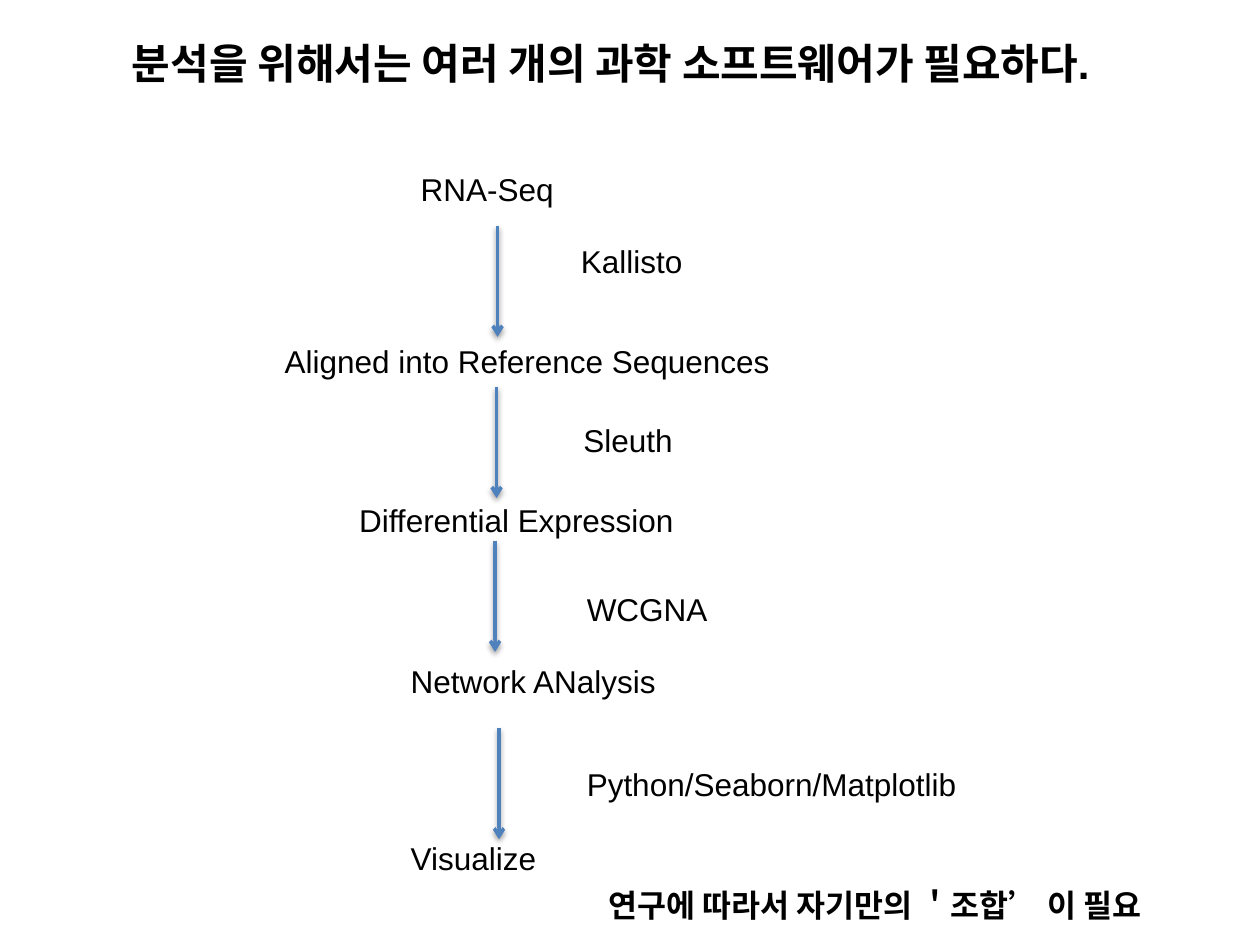
from lxml import etree
from pptx import Presentation
from pptx import util as u
from pptx.dml.color import RGBColor
from pptx.enum import shapes, text
from pptx.oxml import ns

HUES = {"ink": "000000", "line": "4F81BD", "shade": "000000"}
HIGH = 1.02
DROP = 2.24

STEPS = [
    ("RNA-Seq", 8.23, 3.3, 3.23),
    ("Aligned into Reference Sequences", 5.49, 6.78, 10.41),
    ("Differential Expression", 6.99, 9.98, 6.91),
    ("Network ANalysis", 8.03, 13.23, 5.51),
    ("Visualize", 8.03, 16.79, 3.1),
]
TOOLS = [
    ("Kallisto", 11.46, 4.75, 2.77),
    ("Sleuth", 11.51, 8.36, 2.34),
    ("WCGNA", 11.58, 11.76, 2.97),
    ("Python/Seaborn/Matplotlib", 11.58, 15.29, 8.03),
]
ARROWS = [(10.03, 4.55), (10.01, 7.8), (9.98, 10.9), (10.06, 14.68)]


def add_text(slide, words, left, top, wide, high=HIGH, size=18, face="Arial", bold=False):
    box = slide.shapes.add_textbox(u.Cm(left), u.Cm(top), u.Cm(wide), u.Cm(high))
    frame = box.text_frame
    frame.word_wrap = False
    frame.auto_size = text.MSO_AUTO_SIZE.SHAPE_TO_FIT_TEXT
    frame.text = words
    font = frame.paragraphs[0].runs[0].font
    font.name = face
    font.size = u.Pt(size)
    font.bold = bold
    font.color.rgb = RGBColor.from_string(HUES["ink"])


def add_node(root, tag, **attrs):
    return etree.SubElement(root, ns.qn(tag), attrs)


def add_arrow(slide, left, top):
    line = slide.shapes.add_connector(
        shapes.MSO_CONNECTOR.STRAIGHT, u.Cm(left), u.Cm(top), u.Cm(left), u.Cm(top + DROP))
    line.line.width = u.Pt(2)
    line.line.color.rgb = RGBColor.from_string(HUES["line"])
    add_node(line.line._get_or_add_ln(), "a:tailEnd", type="arrow")
    effects = add_node(line._element.spPr, "a:effectLst")
    shade = add_node(effects, "a:outerShdw", blurRad="40000", dist="20000",
                     dir="5400000", rotWithShape="0")
    hue = add_node(shade, "a:srgbClr", val=HUES["shade"])
    add_node(hue, "a:alpha", val="38000")


def main():
    deck = Presentation()
    deck.slide_width, deck.slide_height = u.Cm(25.4), u.Cm(19.05)
    slide = deck.slides.add_slide(deck.slide_layouts[6])
    add_text(slide, "분석을 위해서는 여러 개의 과학 소프트웨어가 필요하다.",
             2.41, 0.64, 22.07, high=1.27, size=24, bold=True)
    for label in STEPS + TOOLS:
        add_text(slide, *label)
    for spot in ARROWS:
        add_arrow(slide, *spot)
    add_text(slide, "연구에 따라서 자기만의 ＇조합’ 이 필요",
             12.01, 17.73, 11.66, face="Calibri", bold=True)
    deck.save("out.pptx")


if __name__ == "__main__":
    main()
